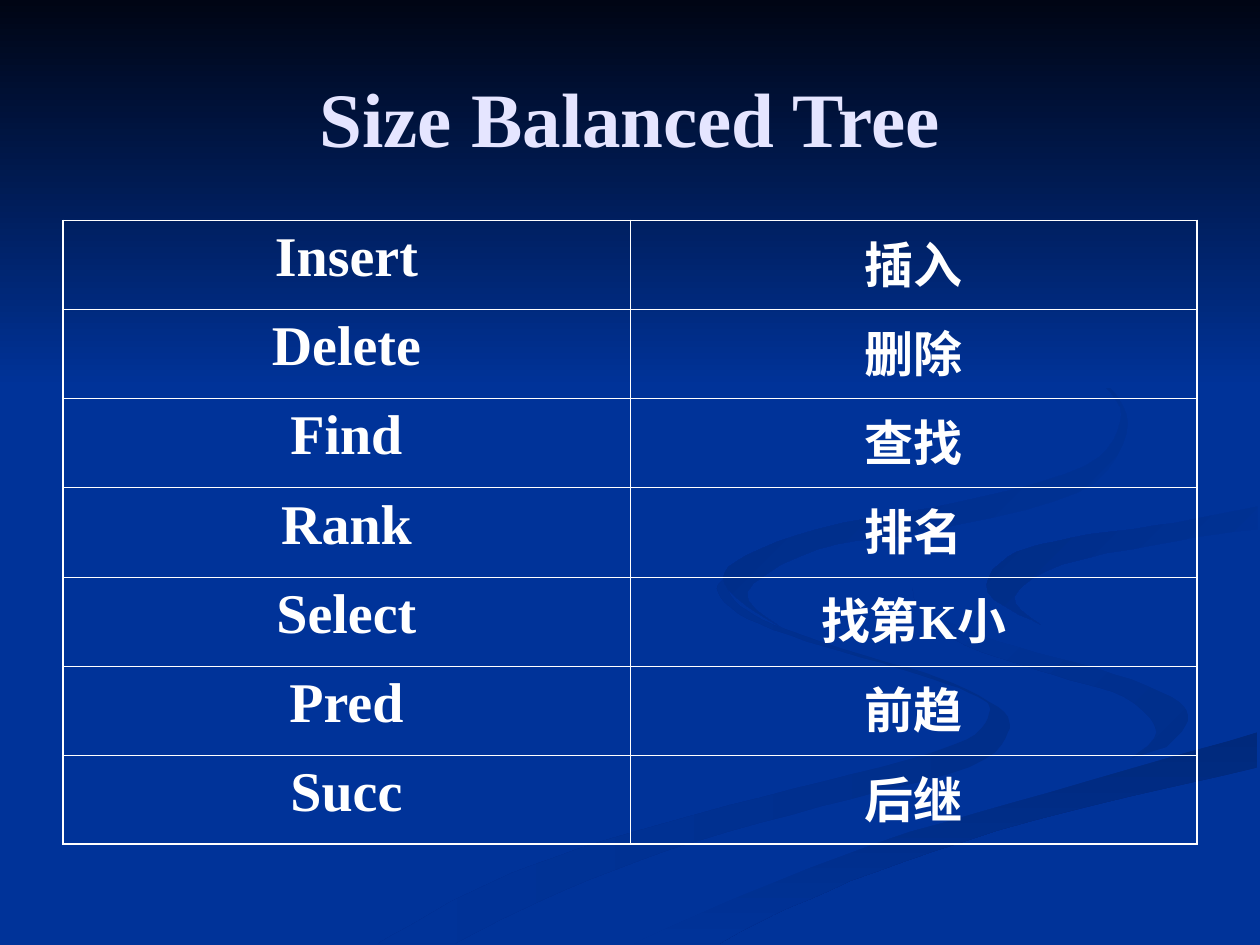
from lxml.etree import SubElement
from pptx import Presentation
from pptx.dml.color import RGBColor
from pptx.enum.text import MSO_ANCHOR, PP_ALIGN
from pptx.oxml.ns import qn
from pptx.util import Pt

COLORS = {
    "blue": "003399", "night": "000514", "title": "E5E5FF", "white": "FFFFFF",
    "shade_lower": "002E8A", "shade_sweep": "00297C",
    "shade_fold": "002C85", "shade_top": "002B81",
}
FONT = "Times New Roman"
GRID = Pt(0.72)  # one unit of the edges: a thousandth of the page width
THICK, THIN = Pt(1.08), Pt(0.45)
MARGIN, CONTENT_WIDTH = 36, 648
COLUMN_STYLES = [{"size": 32, "before": 8}, {"size": 28, "before": 7}]

# Knots of the ribbon edges; a smooth curve is drawn through each list
EDGES = {
    "lower_inner": [(575, 459), (570, 470), (593, 491), (654, 513), (728, 535),
                    (776, 553), (785, 566), (767, 587), (699, 609), (579, 639),
                    (458, 674), (376, 707), (300, 749)],
    "lower_outer": [(575, 459), (583, 477), (614, 496), (682, 519), (745, 538),
                    (792, 561), (800, 581), (769, 609), (651, 640), (532, 674),
                    (431, 714), (361, 749)],
    "crest": [(724, 464), (733, 483), (792, 509), (870, 530), (930, 553),
              (943, 572), (926, 593)],
    "crest_inner": [(724, 464), (733, 488), (766, 512), (838, 536), (892, 553),
                    (918, 581), (894, 605)],
    "crest_tail": [(926, 593), (843, 618), (704, 655), (573, 703), (477, 749)],
    "sweep_top": [(503, 749), (569, 719), (696, 669), (832, 629), (998, 581)],
    "sweep_bottom": [(571, 749), (614, 726), (695, 692), (821, 651), (998, 609)],
    "fold_start": [(998, 538), (904, 519), (826, 496)],
    "fold": [(826, 496), (784, 470), (800, 442), (850, 427), (933, 415), (998, 402)],
    "fold_inner": [(826, 496), (805, 474), (843, 448), (936, 429), (998, 420)],
    "main_top": [(724, 464), (732, 446), (788, 422), (920, 401), (998, 387)],
    "top_inner": [(762, 233), (826, 266), (876, 306), (889, 335), (861, 370),
                  (763, 398), (649, 420), (584, 446), (578, 468), (622, 500)],
    "top_outer": [(762, 233), (821, 261), (880, 307), (894, 344), (855, 391),
                  (739, 421), (649, 436), (593, 470), (622, 500)],
}
# Edges walked in turn ("-" means backwards), start and end colour, clockwise angle
RIBBONS = [
    (["lower_outer", "-lower_inner"], "shade_lower", "blue", 180),
    (["crest", "-crest_inner"], "shade_lower", "blue", 225),
    (["sweep_top", "-sweep_bottom"], "shade_sweep", "blue", 90),
    (["crest", "crest_tail", "sweep_top", "fold_start", "fold", "-main_top"],
     "blue", "blue", 0),
    (["fold", "-fold_inner"], "blue", "shade_fold", 225),
    (["top_outer", "-top_inner"], "blue", "shade_top", 225),
]
NIGHT_SKY = [(0, 0), (1000, 0), (1000, 308), (0, 308)]

OPERATIONS = [
    ("Insert", "插入"), ("Delete", "删除"), ("Find", "查找"), ("Rank", "排名"),
    ("Select", "找第K小"), ("Pred", "前趋"), ("Succ", "后继"),
]


def rgb(name):
    return RGBColor.from_string(COLORS[name])


def smooth(knots, steps=5):
    """Return points on a Catmull-Rom curve through the knots."""
    padded = [knots[0], *knots, knots[-1]]
    points = []
    for before, start, end, after in zip(padded, padded[1:], padded[2:], padded[3:]):
        for step in range(steps):
            t = step / steps
            points.append(tuple(
                b + t * (c - a) / 2 + t**2 * (2*a - 5*b + 4*c - d) / 2
                + t**3 * (3*b - a - 3*c + d) / 2
                for a, b, c, d in zip(before, start, end, after)))
    return points + [knots[-1]]


def join_edges(names):
    """Chain smoothed edges into one outline."""
    outline = []
    for name in names:
        points = smooth(EDGES[name.lstrip("-")])
        outline += reversed(points) if name.startswith("-") else points
    return outline


def write_text(frame, text, *, size, color="white", before=0):
    """Fill a text frame with one bold, centred paragraph."""
    para = frame.paragraphs[0]
    para.alignment = PP_ALIGN.CENTER
    para.space_before = Pt(before)
    span = para.add_run()
    span.text = text
    span.font.name = FONT
    span.font.size = Pt(size)
    span.font.bold = True
    span.font.color.rgb = rgb(color)


def draw_border(cell, side, width):
    line = SubElement(cell._tc.get_or_add_tcPr(), qn(f"a:ln{side}"), w=str(int(width)))
    fill = SubElement(line, qn("a:solidFill"))
    SubElement(fill, qn("a:srgbClr"), val=COLORS["white"])


class SlideBuilder:
    def __init__(self, deck):
        self.page = deck.slides.add_slide(deck.slide_layouts[6])

    def background(self, color):
        fill = self.page.background.fill
        fill.solid()
        fill.fore_color.rgb = rgb(color)

    def area(self, points, start, end, angle):
        """Draw a closed outline, solid where both colours are the same."""
        builder = self.page.shapes.build_freeform(*points[0], scale=GRID)
        builder.add_line_segments(points[1:], close=True)
        shape = builder.convert_to_shape()
        shape.shadow.inherit = False
        shape.line.fill.background()
        if start == end:
            shape.fill.solid()
            shape.fill.fore_color.rgb = rgb(start)
            return
        shape.fill.gradient()
        shape.fill.gradient_angle = 360 - angle
        for stop, color in zip(shape.fill.gradient_stops, (start, end)):
            stop.color.rgb = rgb(color)

    def title(self, text, left, top, width, height):
        box = self.page.shapes.add_textbox(Pt(left), Pt(top), Pt(width), Pt(height))
        box.text_frame.word_wrap = True
        box.text_frame.vertical_anchor = MSO_ANCHOR.MIDDLE
        write_text(box.text_frame, text, size=44, color="title")

    def table(self, rows, left, top, width, height):
        last_row, last_column = len(rows) - 1, len(rows[0]) - 1
        table = self.page.shapes.add_table(
            len(rows), len(rows[0]), Pt(left), Pt(top), Pt(width), Pt(height)).table
        table.first_row = table.horz_banding = False
        for r, row in enumerate(rows):
            for c, (text, style) in enumerate(zip(row, COLUMN_STYLES)):
                cell = table.cell(r, c)
                write_text(cell.text_frame, text, **style)
                # Thick frame outside, thin rules inside
                outer = {"L": c == 0, "R": c == last_column, "T": r == 0, "B": r == last_row}
                for side, is_outer in outer.items():
                    draw_border(cell, side, THICK if is_outer else THIN)
                cell.fill.background()


def main():
    deck = Presentation()
    deck.slide_width, deck.slide_height = Pt(720), Pt(540)
    slide = SlideBuilder(deck)

    # Backdrop: ribbons, then the dark sky
    slide.background("blue")
    for names, start, end, angle in RIBBONS:
        slide.area(join_edges(names), start, end, angle)
    slide.area(NIGHT_SKY, "night", "blue", 90)

    # Title and table of operations
    slide.title("Size Balanced Tree", MARGIN, 21.6, CONTENT_WIDTH, 90)
    slide.table(OPERATIONS, MARGIN, 126, CONTENT_WIDTH, 356.4)
    deck.save("out.pptx")


if __name__ == "__main__":
    main()
